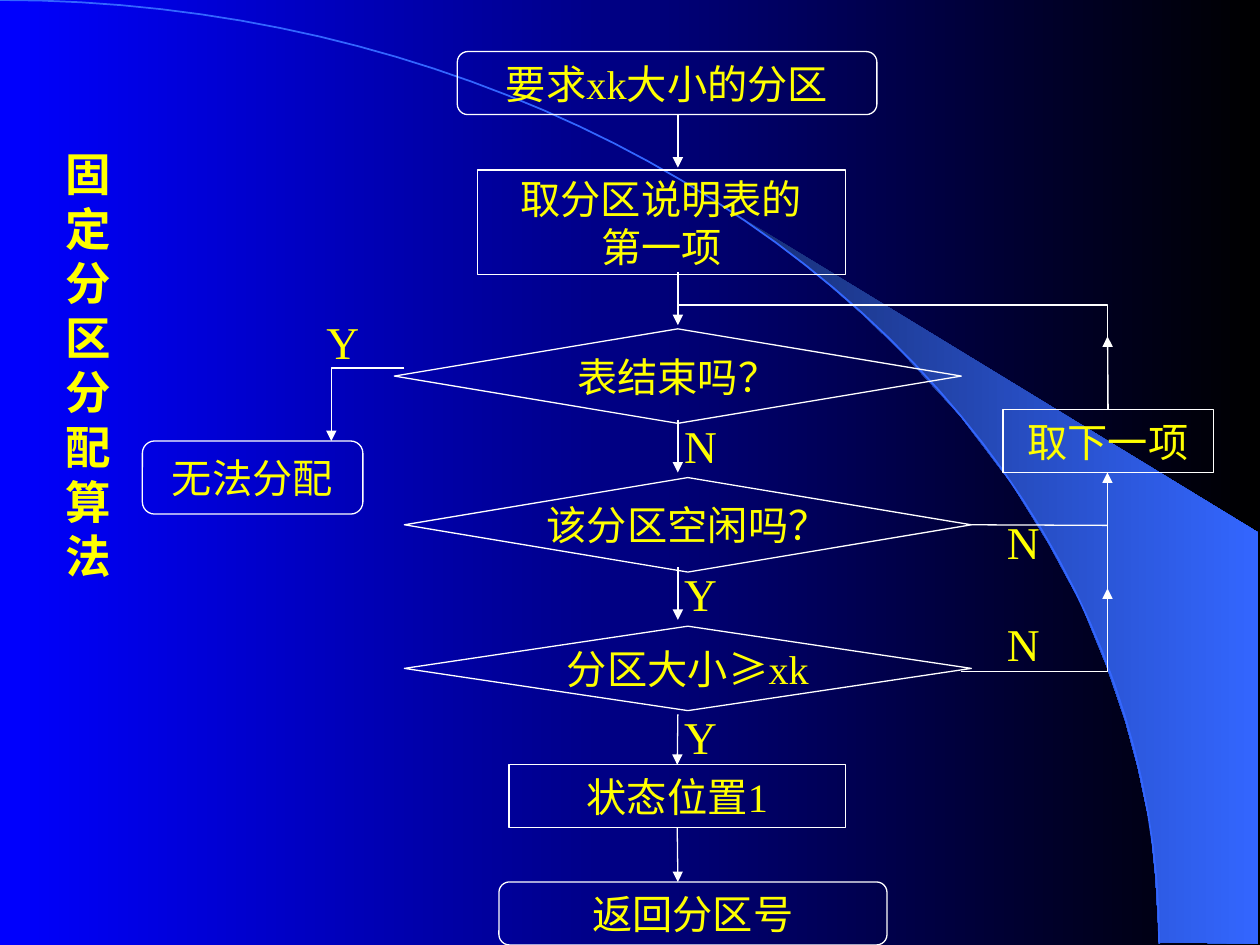
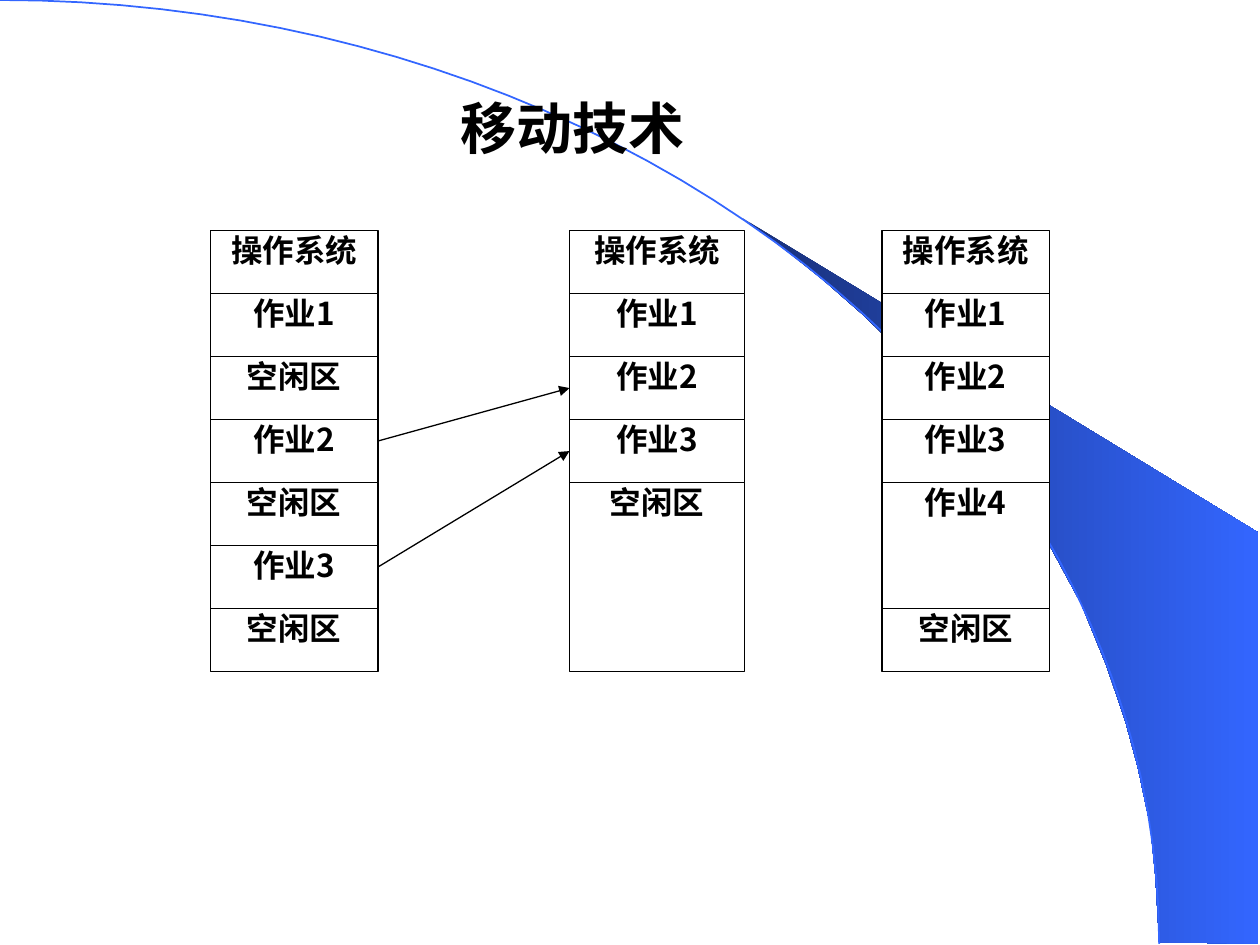
import math

import pptx
import pptx.dml.color
import pptx.enum.shapes
import pptx.enum.text
import pptx.oxml.ns
import pptx.util
from lxml import etree

Inches = pptx.util.Inches
RGBColor = pptx.dml.color.RGBColor
Shape = pptx.enum.shapes.MSO_SHAPE
Align = pptx.enum.text.PP_ALIGN
Anchor = pptx.enum.text.MSO_ANCHOR
qn = pptx.oxml.ns.qn

BLUE = RGBColor(0x00, 0x00, 0xFF)
BLACK = RGBColor(0x00, 0x00, 0x00)
WHITE = RGBColor(0xFF, 0xFF, 0xFF)
YELLOW = RGBColor(0xFF, 0xFF, 0x00)
NAVY = RGBColor(0x18, 0x2F, 0x76)
SKY = RGBColor(0x33, 0x66, 0xFF)

SERIF = "Times New Roman"
CHINESE = "Noto Sans CJK SC"
STEP = dict(size=23, name=SERIF, color=YELLOW, bold=False)
BRANCH = dict(STEP, size=26)
SIDE_TITLE = dict(BRANCH, bold=True)
TITLE = dict(size=32, name="Noto Sans CJK JP", color=BLACK, bold=True)
CELL = dict(size=18, name=CHINESE, color=BLACK, bold=True)

SWOOSH = [(9.2, 7.48), (9.99, 7.49), (9.99, 4.23), (5.89, 1.73), (6.24, 1.99),
          (6.53, 2.22), (6.85, 2.5), (7.16, 2.8), (7.62, 3.3), (8.03, 3.84),
          (8.32, 4.31), (8.58, 4.79), (8.78, 5.28), (8.93, 5.72),
          (9.03, 6.09), (9.13, 6.56), (9.17, 6.96)]


def write_text(shape, paragraphs, look, align, anchor, insets, wrap):
    frame = shape.text_frame
    side, end = map(Inches, insets)
    values = dict(word_wrap=wrap, vertical_anchor=anchor,
                  auto_size=pptx.enum.text.MSO_AUTO_SIZE.NONE,
                  margin_left=side, margin_right=side,
                  margin_top=end, margin_bottom=end)
    for name, value in values.items():
        setattr(frame, name, value)
    for index, spans in enumerate(paragraphs):
        para = frame.add_paragraph() if index else frame.paragraphs[0]
        para.alignment = align
        for text, changes in spans:
            span = para.add_run()
            span.text = text
            format_values = {**look, **changes}
            span.font.color.rgb = format_values.pop("color")
            format_values["size"] = pptx.util.Pt(format_values["size"])
            for name, value in format_values.items():
                setattr(span.font, name, value)
    for properties in shape.element.iter(qn("a:rPr")):
        etree.SubElement(properties, qn("a:ea"), typeface=CHINESE)


def plain(*lines):
    return [[(line, {})] for line in lines]


def paint_gradient(fill, start, end):
    fill.gradient()
    fill.gradient_angle = 0
    for stop, color, position in zip(fill.gradient_stops, (start, end), (0, 1)):
        stop.color.rgb = color
        stop.position = position


def style_line(shape, color, width=0.75, arrow=False):
    shape.line.color.rgb = color
    shape.line.width = pptx.util.Pt(width)
    if arrow:
        outline = shape.element.spPr.find(qn("a:ln"))
        etree.SubElement(outline, qn("a:tailEnd"), type="triangle")


def add_outline(page, points, closed=False):
    corners = [(Inches(x), Inches(y)) for x, y in points]
    builder = page.shapes.build_freeform(*corners[0])
    builder.add_line_segments(corners[1:], close=closed)
    shape = builder.convert_to_shape()
    shape.shadow.inherit = False
    shape.fill.background()
    return shape


def add_box(page, kind, place, fill, line):
    shape = page.shapes.add_shape(kind, *map(Inches, place))
    shape.shadow.inherit = False
    if fill is None:
        shape.fill.background()
    else:
        shape.fill.solid()
        shape.fill.fore_color.rgb = fill
    style_line(shape, line)
    return shape


def add_line(page, start, end, color, arrow=True, begin=None, finish=None):
    line = page.shapes.add_connector(pptx.enum.shapes.MSO_CONNECTOR.STRAIGHT,
                                     *map(Inches, (*start, *end)))
    style_line(line, color, arrow=arrow)
    etree.SubElement(line.element.spPr, qn("a:effectLst"))
    if begin:
        line.begin_connect(*begin)
    if finish:
        line.end_connect(*finish)


def place_title(page, place, text, look, align, anchor):
    title = page.shapes.title
    for name, value in zip(("left", "top", "width", "height"), place):
        setattr(title, name, Inches(value))
    write_text(title, plain(text), look, align, anchor, (0.1, 0.05), True)


def decorate_layout(page):
    swoosh = add_outline(page, SWOOSH, closed=True)
    paint_gradient(swoosh.fill, NAVY, SKY)
    swoosh.line.fill.background()
    angles = [math.radians(degree) for degree in range(0, 91, 2)]
    arc = add_outline(page, [(9.2 * math.sin(angle), 7.49 * (1 - math.cos(angle)))
                             for angle in angles])
    style_line(arc, SKY, 1)
    tree = page.slide_layout.shapes.element
    for offset, shape in enumerate((swoosh, arc)):
        shape.element.nvSpPr.cNvPr.set("id", str(101 + offset))
        tree.insert(2 + offset, shape.element)


def draw_flowchart(page, left, top):
    def shift(x, y):
        return left + x, top + y

    boxes = {
        "request": (Shape.ROUNDED_RECTANGLE, 2.5, 0, 3.33, 0.5, plain("要求xk大小的分区")),
        "first": (Shape.RECTANGLE, 2.66, 0.94, 2.92, 0.83,
                  plain("取分区说明表的", "第一项")),
        "free": (Shape.DIAMOND, 2.08, 3.38, 4.5, 0.75, plain("该分区空闲吗？")),
        "size": (Shape.DIAMOND, 2.08, 4.56, 4.5, 0.67,
                 [[("分区大小", {}), ("≥", {"name": "Arial"}), ("xk", {})]]),
        "finished": (Shape.DIAMOND, 2, 2.2, 4.5, 0.75, plain("表结束吗？")),
        "return": (Shape.ROUNDED_RECTANGLE, 2.83, 6.59, 3.08, 0.5, plain("返回分区号")),
        "state": (Shape.RECTANGLE, 2.91, 5.66, 2.67, 0.5, plain("状态位置1")),
        "fail": (Shape.ROUNDED_RECTANGLE, 0, 3.09, 1.75, 0.58, plain("无法分配")),
        "next": (Shape.RECTANGLE, 6.83, 2.84, 1.67, 0.5, plain("取下一项")),
    }
    steps = {}
    for name, (kind, x, y, width, height, paragraphs) in boxes.items():
        steps[name] = add_box(page, kind, (*shift(x, y), width, height), None, WHITE)
        write_text(steps[name], paragraphs, STEP, Align.CENTER, Anchor.MIDDLE,
                   (0.05, 0.02), False)

    axis, lane = 4.25, 7.66
    joins = {5.26: dict(finish=(steps["state"], 0)),
             6.17: dict(begin=(steps["state"], 2))}
    for y in (0.5, 1.75, 2.92, 4.09, 5.26, 6.17):
        add_line(page, shift(axis, y), shift(axis, y + 0.42), WHITE,
                 **joins.get(y, {}))
    add_line(page, shift(lane, 2.84), shift(lane, 2.26), WHITE,
             begin=(steps["next"], 0))
    add_line(page, shift(6.58, 3.76), shift(lane, 3.76), WHITE, arrow=False,
             begin=(steps["free"], 3))
    add_line(page, shift(lane, 4.84), shift(lane, 4.26), WHITE)

    bends = [([(2.08, 2.51), (1.5, 2.51), (1.5, 3.09)], True),
             ([(axis, 2.01), (lane, 2.01), (lane, 2.84)], False),
             ([(6.5, 4.92), (lane, 4.92), (lane, 3.34)], True)]
    for points, arrow in bends:
        bend = add_outline(page, [shift(*point) for point in points])
        style_line(bend, WHITE, arrow=arrow)

    answers = [("N", 6.81, 4.41), ("N", 6.81, 3.6), ("N", axis, 2.84),
               ("Y", axis, 4.01), ("Y", axis, 5.15), ("Y", 1.41, 2.01)]
    for answer, x, y in answers:
        label = page.shapes.add_textbox(*map(Inches, (*shift(x, y), 0.45, 0.57)))
        write_text(label, plain(answer), BRANCH, Align.LEFT, Anchor.MIDDLE,
                   (0.05, 0.02), False)


def draw_memory(page, left, top, width, blocks):
    unit = 0.5
    cells = {}
    for text, units in blocks:
        cell = add_box(page, Shape.RECTANGLE, (left, top, width, units * unit),
                       WHITE, BLACK)
        write_text(cell, plain(text), CELL, Align.CENTER, Anchor.TOP, (0, 0), True)
        cells[text] = cell
        top += units * unit
    return cells


def build_allocation_page(page):
    paint_gradient(page.background.fill, BLUE, BLACK)
    place_title(page, (0.42, 1.11, 0.77, 3.56), "固定分区分配算法", SIDE_TITLE,
                Align.LEFT, Anchor.TOP)
    draw_flowchart(page, 1.13, 0.41)


def build_moving_page(page):
    page.background.fill.solid()
    page.background.fill.fore_color.rgb = WHITE
    place_title(page, (2.92, 0.67, 3.25, 0.67), "移动技术", TITLE,
                Align.CENTER, Anchor.MIDDLE)
    top = 1.83
    system, job1, job2, job3 = [(text, 1) for text in ("操作系统", "作业1", "作业2", "作业3")]
    gap = ("空闲区", 1)
    draw_memory(page, 1.67, top, 1.33, [system, job1, gap, job2, gap, job3, gap])
    moved = draw_memory(page, 4.52, top, 1.39,
                        [system, job1, job2, job3, ("空闲区", 3)])
    draw_memory(page, 7, top, 1.33,
                [system, job1, job2, job3, ("作业4", 2), gap])
    for job, start, end in (("作业2", 3.5, 3.08), ("作业3", 4.5, 3.58)):
        add_line(page, (3, start), (4.52, end), BLACK, finish=(moved[job], 1))


def main():
    deck = pptx.Presentation()
    deck.slide_width = Inches(10)
    deck.slide_height = Inches(7.5)
    layout = deck.slide_layouts.get_by_name("Title Only")
    pages = [deck.slides.add_slide(layout) for _ in range(2)]
    decorate_layout(pages[0])
    build_allocation_page(pages[0])
    build_moving_page(pages[1])
    deck.save("out.pptx")


if __name__ == "__main__":
    main()
